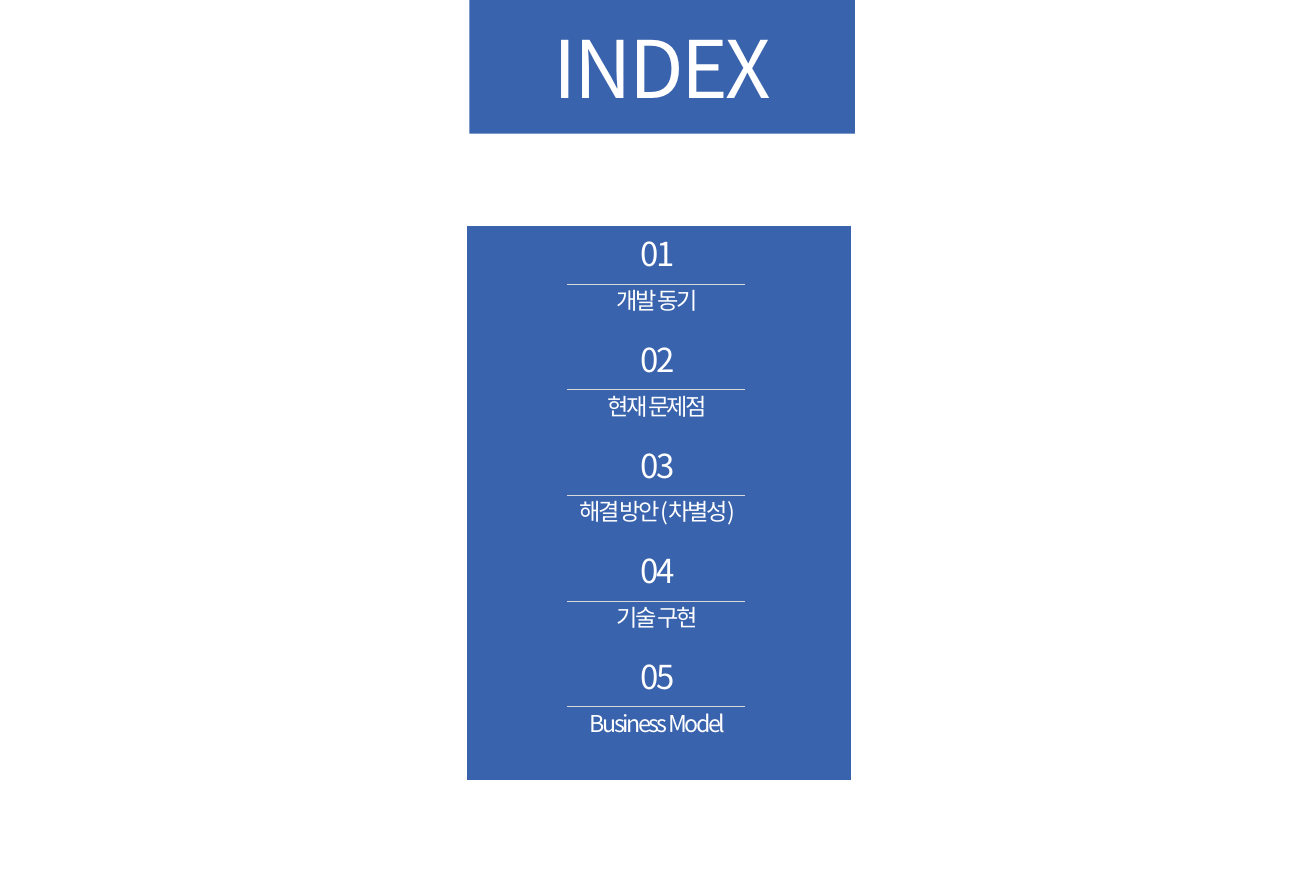
"""Build the INDEX slide: a title block above a panel of five numbered topics."""
from lxml import etree
from pptx import Presentation
from pptx.dml.color import RGBColor
from pptx.enum.shapes import MSO_CONNECTOR, MSO_SHAPE
from pptx.enum.text import MSO_AUTO_SIZE, PP_ALIGN
from pptx.oxml.ns import qn
from pptx.util import Inches, Pt

BLUE = RGBColor(0x24, 0x53, 0xA5)
WHITE = RGBColor(0xFF, 0xFF, 0xFF)
GREY = RGBColor(0xD9, 0xD9, 0xD9)
FONT = "Noto Sans CJK KR"
FRAME_FORMAT = {"word_wrap": True, "auto_size": MSO_AUTO_SIZE.SHAPE_TO_FIT_TEXT}
TOPICS = ["개발 동기", "현재 문제점", "해결 방안(차별성)", "기술 구현", "Business Model"]
FIRST_TOP = 1.91
TOPIC_STEP = 3.54 / 4


def add_block(shapes, left, top, width, height):
    block = shapes.add_shape(
        MSO_SHAPE.RECTANGLE, Inches(left), Inches(top), Inches(width), Inches(height))
    block.shadow.inherit = False
    block.fill.solid()
    block.fill.fore_color.rgb = BLUE
    color = block.fill._xPr.find(qn("a:solidFill"))[0]
    etree.SubElement(color, qn("a:alpha"), val="90000")
    return block


def add_label(shapes, text, left, top, height, size):
    label = shapes.add_textbox(Inches(left), Inches(top), Inches(2.95), Inches(height))
    for name, value in FRAME_FORMAT.items():
        setattr(label.text_frame, name, value)
    paragraph = label.text_frame.paragraphs[0]
    paragraph.alignment = PP_ALIGN.CENTER
    run = paragraph.add_run()
    run.text = text
    for name, value in {"size": Pt(size), "name": FONT}.items():
        setattr(run.font, name, value)
    run.font.color.rgb = WHITE
    properties = run._r.get_or_add_rPr()
    properties.set("spc", "-150")
    etree.SubElement(properties, qn("a:ea"), typeface=FONT)


prs = Presentation()
prs.slide_width, prs.slide_height = Inches(11.02), Inches(7.48)
slide = prs.slides.add_slide(prs.slide_layouts[6])

title_block = add_block(slide.shapes, 3.93, 0, 3.23, 1.12)
title_block.line.fill.background()
topic_panel = add_block(slide.shapes, 3.9, 1.89, 3.23, 4.65)
topic_panel.line.color.rgb = WHITE
topic_panel.line.width = Pt(1)
add_label(slide.shapes, "INDEX", 4.07, 0.11, 0.91, 47.9)

for index, topic in enumerate(TOPICS):
    top = FIRST_TOP + index * TOPIC_STEP
    entry = slide.shapes.add_group_shape().shapes
    add_label(entry, f"{index + 1:02}", 4.03, top, 0.44, 19.9)
    divider = entry.add_connector(
        MSO_CONNECTOR.STRAIGHT,
        Inches(4.75), Inches(top + 0.47), Inches(6.24), Inches(top + 0.47))
    divider.line.color.rgb = GREY
    divider.line.width = Pt(0.5)
    etree.SubElement(divider._element.spPr, qn("a:effectLst"))
    add_label(entry, topic, 4.03, top + 0.44, 0.34, 14)

prs.save("out.pptx")
